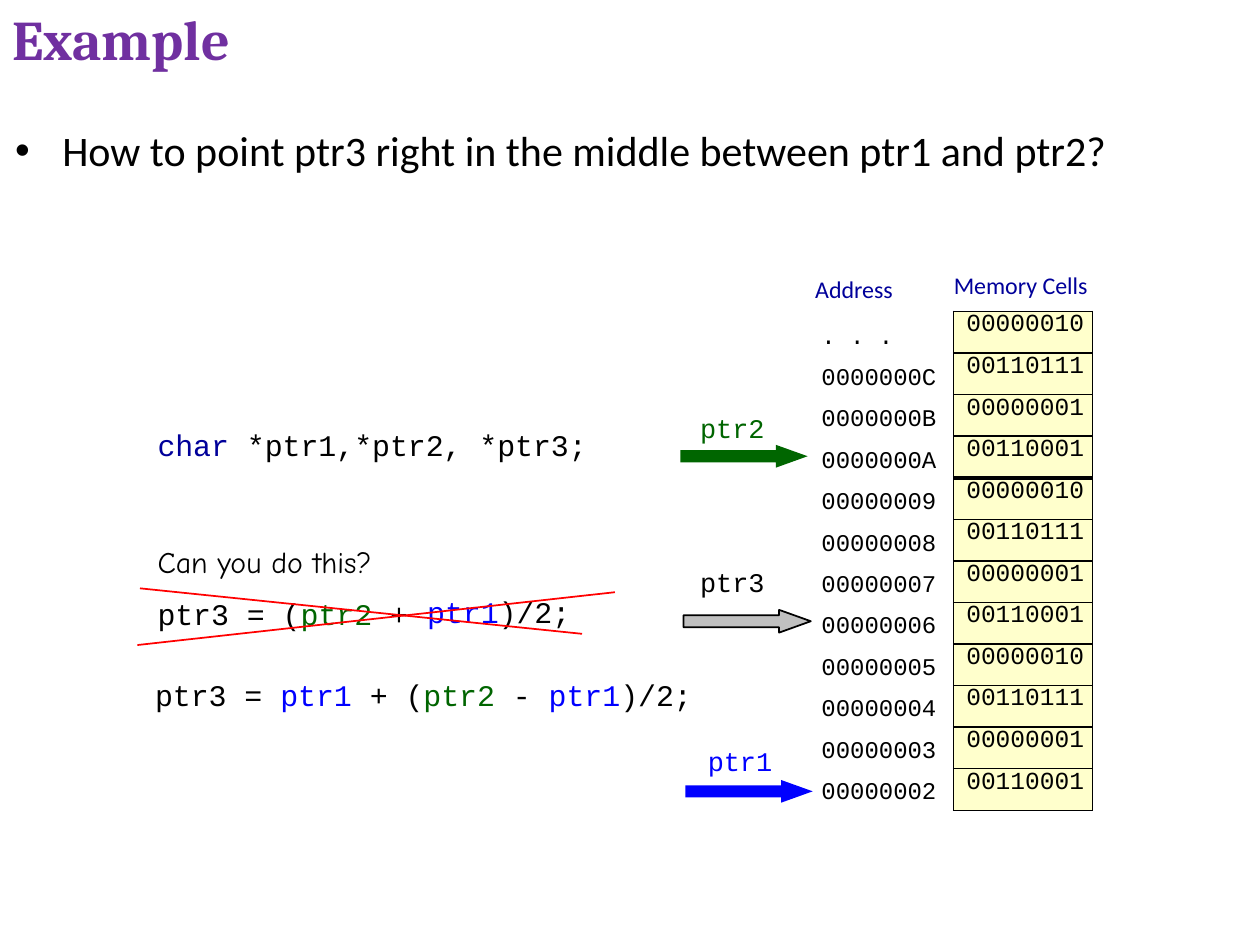
from lxml import etree
from pptx import Presentation
from pptx.dml.color import RGBColor
from pptx.enum.shapes import MSO_CONNECTOR, MSO_SHAPE
from pptx.enum.text import MSO_ANCHOR, MSO_AUTO_SIZE, PP_ALIGN
from pptx.oxml.ns import qn
from pptx.util import Pt

STRAIGHT = MSO_CONNECTOR.STRAIGHT
RIGHT_ARROW = MSO_SHAPE.RIGHT_ARROW
MIDDLE, TOP = MSO_ANCHOR.MIDDLE, MSO_ANCHOR.TOP
LEFT = PP_ALIGN.LEFT
NO_AUTOFIT = MSO_AUTO_SIZE.NONE

BLACK = RGBColor(0x00, 0x00, 0x00)
PURPLE = RGBColor(0x70, 0x30, 0xA0)
NAVY = RGBColor(0x00, 0x00, 0x9A)
BLUE = RGBColor(0x00, 0x00, 0xFF)
GREEN = RGBColor(0x00, 0x65, 0x00)
ARROW_GREEN = RGBColor(0x00, 0x66, 0x00)
RED = RGBColor(0xFF, 0x00, 0x00)
GRAY = RGBColor(0xC0, 0xC0, 0xC0)
CREAM = RGBColor(0xFF, 0xFF, 0xCC)

HEADING, BODY, HAND, CODE = "Cambria", "Calibri", "Comic Neue", "Courier New"
CODE_SIZE, CAPTION_SIZE, LABEL_SIZE, CELL_SIZE = 17.1, 13.7, 15.4, 14


class Deck:
    def __init__(self, prs):
        self.s = prs.slides.add_slide(prs.slide_layouts[1])

    def run(self, p, text, size, color=BLACK, font=CODE, bold=False):
        r = p.add_run()
        r.text = text
        r.font.name, r.font.size, r.font.bold = font, Pt(size), bold
        r.font.color.rgb = color

    def indent(self, p, margin, first=0):
        pPr = p._p.get_or_add_pPr()
        pPr.set("marL", str(Pt(margin)))
        pPr.set("indent", str(Pt(first)))

    def placeholder(self, sp, box, anchor):
        sp.left, sp.top, sp.width, sp.height = map(Pt, box)
        tf = sp.text_frame
        tf.auto_size, tf.vertical_anchor = NO_AUTOFIT, anchor
        p = tf.paragraphs[0]
        p.alignment = LEFT
        return p

    def text(self, box, paragraphs, size):
        """Each paragraph is (indent, space before, line spacing, runs)."""
        tf = self.s.shapes.add_textbox(*map(Pt, box)).text_frame
        tf.word_wrap = True
        tf.margin_left = tf.margin_right = tf.margin_top = tf.margin_bottom = 0
        for i, (margin, before, spacing, runs) in enumerate(paragraphs):
            p = tf.add_paragraph() if i else tf.paragraphs[0]
            self.indent(p, margin)
            p.space_before, p.line_spacing = Pt(before), spacing
            for text, *style in runs:
                self.run(p, text, size, *style)

    def label(self, x, y, text, color):
        tf = self.s.shapes.add_textbox(Pt(x), Pt(y), Pt(52), Pt(26)).text_frame
        tf.word_wrap = False
        self.run(tf.paragraphs[0], text, LABEL_SIZE, color)

    def arrow(self, x, y, color, outlined):
        sp = self.s.shapes.add_shape(RIGHT_ARROW, Pt(x), Pt(y), Pt(72.7), Pt(13))
        sp.adjustments[0], sp.adjustments[1] = 0.53, 1.39
        sp.shadow.inherit = False
        sp.fill.solid()
        sp.fill.fore_color.rgb = color
        if outlined:
            sp.line.color.rgb, sp.line.width = BLACK, Pt(1)
        else:
            sp.line.fill.background()

    def line(self, x1, y1, x2, y2, color):
        c = self.s.shapes.add_connector(STRAIGHT, Pt(x1), Pt(y1), Pt(x2), Pt(y2))
        c.line.color.rgb, c.line.width = color, Pt(1)
        etree.SubElement(c._element.spPr, qn("a:effectLst"))

    def borders(self, cell, **widths):
        tcPr = cell._tc.get_or_add_tcPr()
        for side in "LRTB":
            ln = etree.SubElement(tcPr, qn(f"a:ln{side}"), w=str(Pt(widths.get(side, 1))))
            fill = etree.SubElement(ln, qn("a:solidFill"))
            etree.SubElement(fill, qn("a:srgbClr"), val=str(BLACK))

    def memory(self, x, y, width, row_height, values, divider):
        """One column of cells with a heavy rule above row `divider`."""
        n = len(values)
        table = self.s.shapes.add_table(
            n, 1, Pt(x), Pt(y), Pt(width), Pt(row_height * n)).table
        table.first_row = table.horz_banding = False
        for i, value in enumerate(values):
            table.rows[i].height = Pt(row_height)
            cell = table.cell(i, 0)
            cell.margin_left = cell.margin_right = cell.margin_top = cell.margin_bottom = 0
            self.borders(cell, T=2.75 if i == divider else 1,
                         B=2.75 if i == divider - 1 else 1)
            cell.fill.solid()
            cell.fill.fore_color.rgb = CREAM
            p = cell.text_frame.paragraphs[0]
            self.indent(p, 7.2)
            self.run(p, value, CELL_SIZE)


def main():
    prs = Presentation()
    prs.slide_width, prs.slide_height = Pt(720), Pt(540)
    d = Deck(prs)

    # Title and question
    title, body = d.s.placeholders
    p = d.placeholder(title, (0, 0, 648, 43.2), MIDDLE)
    d.run(p, "Example", 32, PURPLE, HEADING, True)
    p = d.placeholder(body, (1.4, 67.7, 648, 42.5), TOP)
    d.indent(p, 27, -27)
    d.run(p, "How to point ptr3 right in the middle between ptr1 and ptr2?",
          24, BLACK, BODY)

    # Pointers: name, label place, arrow place, colours, outline
    pointers = [
        ("ptr2", (393, 231.8), (388.8, 254.2), GREEN, ARROW_GREEN, False),
        ("ptr3", (393, 319.7), (390.6, 348.5), BLACK, GRAY, True),
        ("ptr1", (397.4, 421.9), (391.7, 445.7), BLUE, BLUE, False),
    ]
    for name, label_at, arrow_at, color, fill, outlined in pointers:
        d.arrow(*arrow_at, fill, outlined)
        d.label(*label_at, name, color)

    # Declaration and the wrong formula
    d.text((85, 244, 281.5, 117), [
        (5, 0, 1, [("char ", NAVY), ("*ptr1,*ptr2, *ptr3;",)]),
        (5, 46, 1, [("Can you do this?", BLACK, HAND)]),
        (5, 9.1, 1, [("ptr3 = (",), ("ptr2 ", GREEN), ("+",)]),
    ], CODE_SIZE)
    d.text((243.4, 339.1, 83.5, 20.9),
           [(0.7, 0, 1, [("ptr1", BLUE), (")/2;",)])], CODE_SIZE)
    d.line(80, 336.2, 332.6, 362.2, RED)
    d.line(78.5, 368.6, 351.4, 338.4, RED)

    # The right formula
    d.text((67, 386.6, 350.6, 20.9), [(21.6, 0, 1, [
        ("ptr3 = ",), ("ptr1 ", BLUE), ("+ (",), ("ptr2 ", GREEN),
        ("- ",), ("ptr1", BLUE), (")/2;",)])], CODE_SIZE)

    # Addresses, counting down from 0000000B after the wrapped first line
    addresses = [(4.3, 7.27, 1, [(f"{n:08X}",)]) for n in range(0xB, 1, -1)]
    d.text((465.1, 157, 71.3, 305.3), [
        (0.7, 0, 1, [("Address", NAVY, BODY)]),
        (4.3, 2.4, 1.43, [(". . . 0000000C",)]),
        *addresses,
    ], CAPTION_SIZE)

    # Memory cells
    d.text((544.3, 154.8, 78.5, 16.6),
           [(0.7, 0, 1, [("Memory Cells", NAVY, BODY)])], CAPTION_SIZE)
    d.memory(545, 178, 79.2, 23.76,
             ["00000010", "00110111", "00000001", "00110001"] * 3, divider=4)

    prs.save("out.pptx")


if __name__ == "__main__":
    main()
